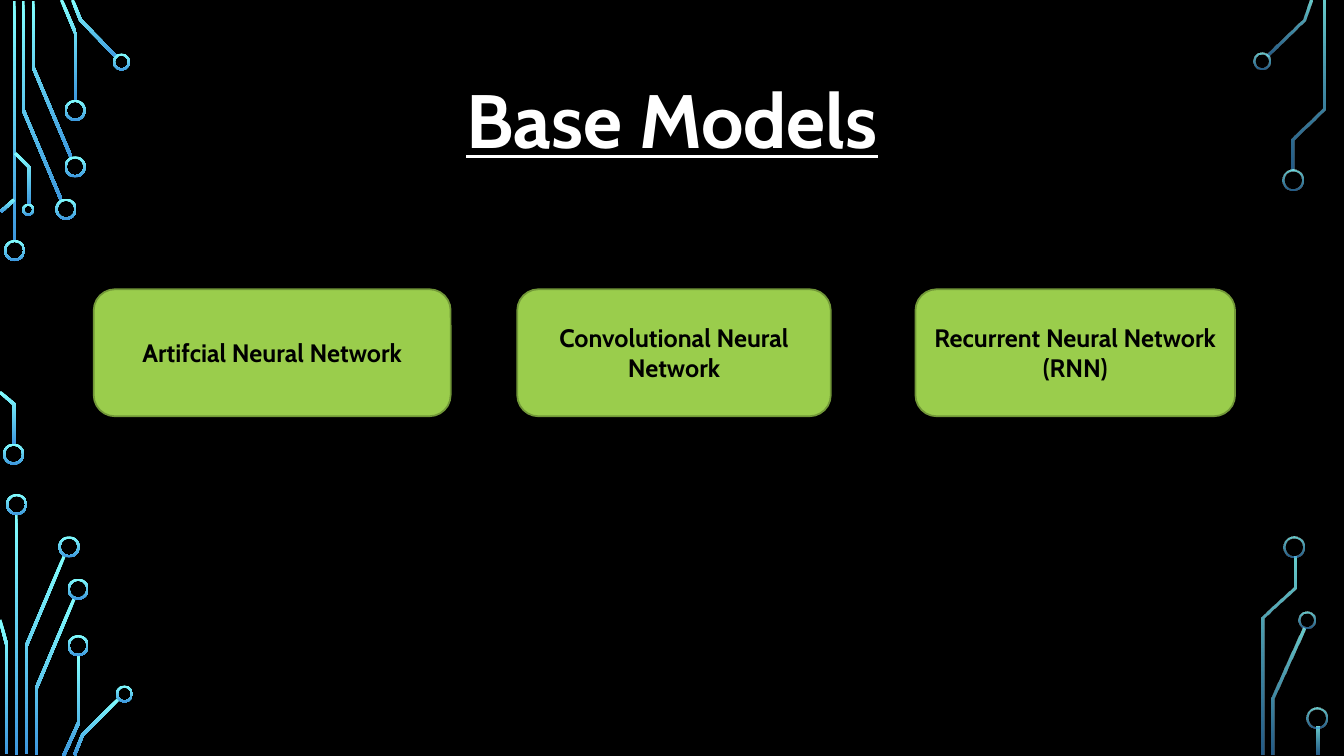
import dataclasses
import itertools
import math

import lxml.etree
import pptx
import pptx.dml.color
import pptx.enum.shapes
import pptx.enum.text
import pptx.oxml.ns
import pptx.util

EMU_PER_PX = 9144


@dataclasses.dataclass(frozen=True)
class Theme:
    """Colours, font and sizes of the slide."""
    background: str = "000000"
    title_text: str = "FFFFFF"
    box_text: str = "000000"
    box_fill: str = "9ACD4C"
    box_line: str = "729838"
    circuit_top: str = "82FFFF"
    circuit_bottom: str = "3D97DE"
    font: str = "Cabin"
    title_size: int = 54
    box_size: int = 18
    box_line_width: float = 1.25
    trace_width: int = 3
    ring_width: int = 2


THEME = Theme()

LEFT_TRACES = [
    [(14, 1), (14, 240)],
    [(61, 199), (23, 109), (23, 1)],
    [(71, 157), (33, 67), (33, 1)],
    [(75, 100), (75, 33), (61, 0)],
    [(116, 57), (80, 20), (72, 0)],
    [(1, 210), (14, 198)],
    [(14, 441), (14, 401), (0, 389)],
    [(29, 203), (29, 166), (15, 152)],
    [(16, 510), (16, 749)],
    [(26, 748), (26, 641), (64, 551)],
    [(7, 748), (7, 641), (0, 615)],
    [(36, 749), (36, 683), (74, 593)],
    [(63, 750), (78, 717), (78, 650)],
    [(74, 749), (82, 729), (118, 693)],
]
LEFT_RINGS = [
    (4, 238, 21), (3, 440, 21), (55, 197, 21), (64, 155, 21),
    (64, 99, 21), (112, 53, 17), (22, 202, 12), (6, 490, 21),
    (58, 532, 21), (67, 574, 21), (67, 630, 21), (115, 680, 17),
]
RIGHT_TRACES = [
    [(1257, 55), (1293, 20), (1300, 0)],
    [(1263, 749), (1263, 693), (1293, 623)],
    [(1282, 169), (1282, 138), (1313, 108), (1313, 1)],
    [(1253, 749), (1253, 613), (1284, 583), (1284, 552)],
    [(1307, 721), (1307, 749)],
]
RIGHT_RINGS = [
    (1243, 52, 17), (1272, 168, 21), (1288, 607, 17),
    (1273, 532, 21), (1296, 702, 21),
]
MODELS = [
    (93, 354, "Artifcial Neural Network"),
    (513, 311, "Convolutional Neural Network"),
    (908, 317, "Recurrent Neural Network\n(RNN)"),
]


def px(length):
    """Turn pixels into EMU."""
    return pptx.util.Emu(round(length * EMU_PER_PX))


def rgb(value):
    """Return a colour from its hexadecimal value."""
    return pptx.dml.color.RGBColor.from_string(value)


def trace_outline(points, width):
    """Return the outline of a bent strip around a centre line."""
    normals = []
    for (x1, y1), (x2, y2) in itertools.pairwise(points):
        length = math.hypot(x2 - x1, y2 - y1)
        normals.append(((y1 - y2) / length, (x2 - x1) / length))
    left_side, right_side = [], []
    joints = zip(points, normals[:1] + normals, normals + normals[-1:])
    for (x, y), (ax, ay), (bx, by) in joints:
        reach = width / 2 / (1 + ax * bx + ay * by)
        dx, dy = (ax + bx) * reach, (ay + by) * reach
        left_side.append((px(x + dx), px(y + dy)))
        right_side.append((px(x - dx), px(y - dy)))
    return left_side + right_side[::-1]


def style_circuit(shape, opacities):
    """Fill a circuit part with the vertical gradient."""
    shape.shadow.inherit = False
    shape.line.fill.background()
    shape.fill.gradient()
    shape.fill.gradient_angle = 270
    colours = (THEME.circuit_top, THEME.circuit_bottom)
    for stop, colour in zip(shape.fill.gradient_stops, colours):
        stop.color.rgb = rgb(colour)
    elements = shape.element.spPr.iter(pptx.oxml.ns.qn("a:srgbClr"))
    for element, opacity in zip(list(elements), opacities):
        alpha = lxml.etree.SubElement(element, pptx.oxml.ns.qn("a:alpha"))
        alpha.set("val", str(opacity * 1000))


def add_trace(shapes, points, opacities):
    """Add one circuit trace."""
    start, *rest = trace_outline(points, THEME.trace_width)
    builder = shapes.build_freeform(*start, scale=1.0)
    builder.add_line_segments(rest, close=True)
    style_circuit(builder.convert_to_shape(), opacities)


def add_ring(shapes, left, top, size, opacities):
    """Add the ring at the end of a trace."""
    ring = shapes.add_shape(pptx.enum.shapes.MSO_SHAPE.DONUT,
                            px(left), px(top), px(size), px(size))
    ring.adjustments[0] = THEME.ring_width / size
    style_circuit(ring, opacities)


def add_circuit(slide, traces, rings, opacities=()):
    """Add a group of traces and rings."""
    group = slide.shapes.add_group_shape()
    for points in traces:
        add_trace(group.shapes, points, opacities)
    for left, top, size in rings:
        add_ring(group.shapes, left, top, size, opacities)


def style_text(shape, size, colour):
    """Centre and format the text of a shape."""
    shape.text_frame.word_wrap = True
    shape.text_frame.vertical_anchor = pptx.enum.text.MSO_ANCHOR.MIDDLE
    for paragraph in shape.text_frame.paragraphs:
        paragraph.alignment = pptx.enum.text.PP_ALIGN.CENTER
        for run in paragraph.runs:
            run.font.name = THEME.font
            run.font.size = pptx.util.Pt(size)
            run.font.bold = True
            run.font.color.rgb = rgb(colour)


def set_title(slide, text):
    """Place and format the slide title."""
    title = slide.shapes.title
    title.left, title.top = px(125), px(68)
    title.width, title.height = px(1083), px(111)
    title.text_frame.text = text
    style_text(title, THEME.title_size, THEME.title_text)
    paragraph = title.text_frame.paragraphs[0]
    paragraph.line_spacing = 0.9
    paragraph.runs[0].font.underline = True


def add_model_box(slide, left, width, text):
    """Add the rounded box of one model."""
    box = slide.shapes.add_shape(
        pptx.enum.shapes.MSO_SHAPE.ROUNDED_RECTANGLE,
        px(left), px(287), px(width), px(126))
    box.shadow.inherit = False
    box.fill.solid()
    box.fill.fore_color.rgb = rgb(THEME.box_fill)
    box.line.color.rgb = rgb(THEME.box_line)
    box.line.width = pptx.util.Pt(THEME.box_line_width)
    box.text_frame.text = text
    style_text(box, THEME.box_size, THEME.box_text)


def main():
    """Build and save the slide."""
    presentation = pptx.Presentation()
    presentation.slide_width = px(1333)
    presentation.slide_height = px(750)
    slide = presentation.slides.add_slide(presentation.slide_layouts[5])
    slide.background.fill.solid()
    slide.background.fill.fore_color.rgb = rgb(THEME.background)
    add_circuit(slide, LEFT_TRACES, LEFT_RINGS)
    add_circuit(slide, RIGHT_TRACES, RIGHT_RINGS, (80, 60))
    set_title(slide, "Base Models")
    for left, width, text in MODELS:
        add_model_box(slide, left, width, text)
    presentation.save("out.pptx")


if __name__ == "__main__":
    main()
